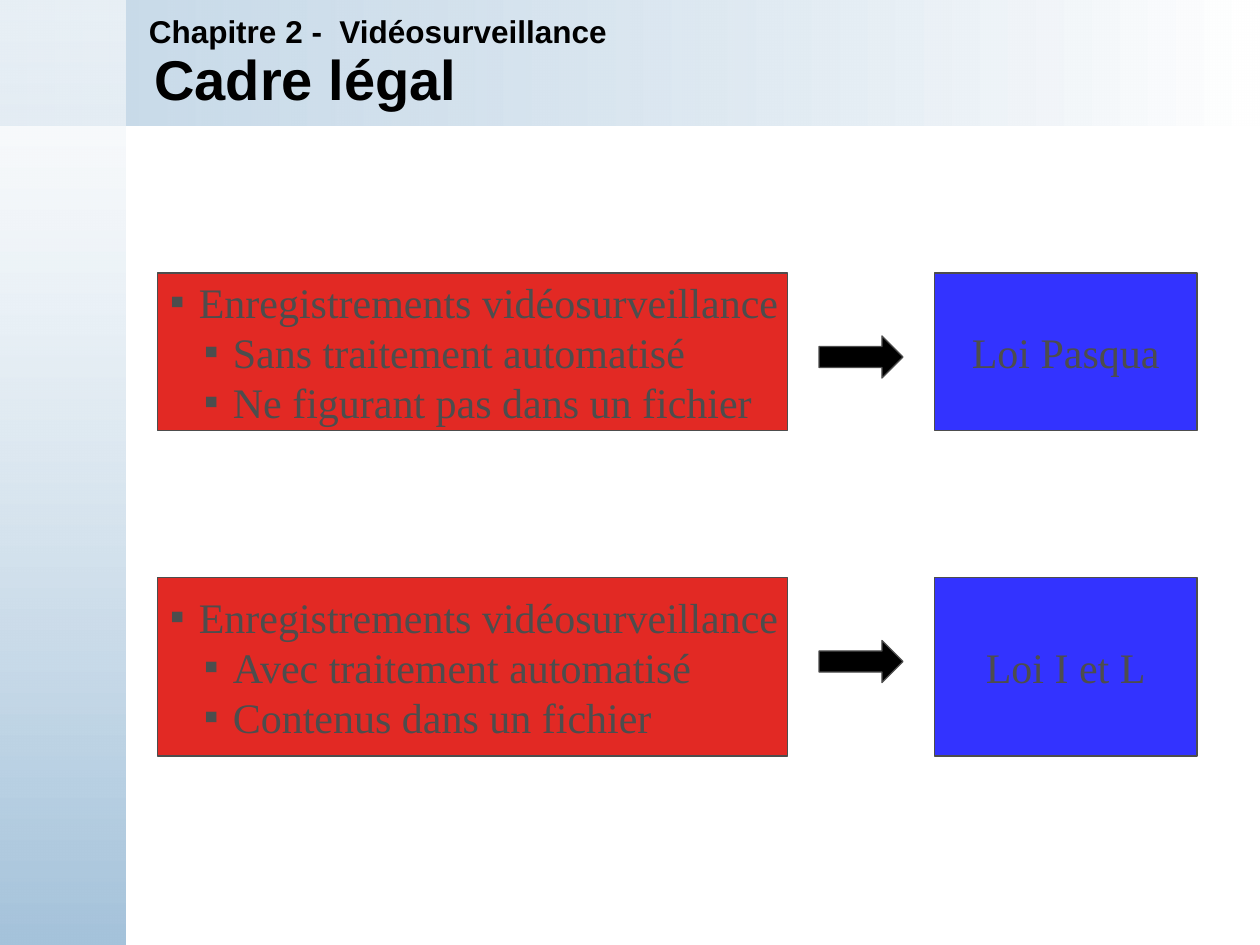
import lxml.etree
import pptx
import pptx.dml.color
import pptx.enum.shapes
import pptx.enum.text
import pptx.oxml.ns
import pptx.util

COLORS = {"band": "A5C3DB", "white": "FFFFFF", "black": "000000",
          "red": "E22924", "blue": "3333FF", "gray": "4D4D4D"}
RGB = {name: pptx.dml.color.RGBColor.from_string(value) for name, value in COLORS.items()}
SHAPE = pptx.enum.shapes.MSO_SHAPE
ALIGN = pptx.enum.text.PP_ALIGN
qn = pptx.oxml.ns.qn

presentation = pptx.Presentation()
presentation.slide_width = pptx.util.Inches(10)
presentation.slide_height = pptx.util.Inches(7.5)
cell = presentation.slide_width // 120
slide = presentation.slides.add_slide(presentation.slide_layouts[5])


def add_box(kind, column, row, columns, rows, fill=None):
    shape = slide.shapes.add_shape(
        kind, *(int(value * cell) for value in (column, row, columns, rows)))
    shape.shadow.inherit = False
    if fill:
        shape.fill.solid()
        shape.fill.fore_color.rgb = RGB[fill]
        shape.line.color.rgb = RGB["gray"]
        shape.line.width = pptx.util.Pt(0.75)
    return shape


def format_text(shape, size, font, color, bold, align, wrap):
    frame = shape.text_frame
    frame.auto_size = pptx.enum.text.MSO_AUTO_SIZE.NONE
    frame.word_wrap = wrap
    frame.vertical_anchor = pptx.enum.text.MSO_ANCHOR.MIDDLE
    for paragraph in frame.paragraphs:
        paragraph.alignment = align
        for run in paragraph.runs:
            run.font.size = pptx.util.Pt(size)
            run.font.name = font
            run.font.bold = bold
            run.font.color.rgb = RGB[color]


bands = [
    (120, 12, 0, "band", "white", 62),
    (12, 90, 270, "white", "band", 59),
]
for columns, rows, angle, start, end, opacity in bands:
    band = add_box(SHAPE.RECTANGLE, 0, 0, columns, rows)
    band.line.fill.background()
    band.fill.gradient()
    band.fill.gradient_angle = angle
    for stop, color in zip(band.fill.gradient_stops, (start, end)):
        stop.color.rgb = RGB[color]
    first_color = next(band._element.iter(qn("a:srgbClr")))
    lxml.etree.SubElement(first_color, qn("a:alpha"), val=str(opacity * 1000))

title = slide.shapes.title
slide.shapes._spTree.append(title._element)
chapter = slide.shapes.add_textbox(0, 0, cell, cell)
headings = [
    (title, "Cadre légal", 32, (13.5, 4, 106.5, 6.8)),
    (chapter, "Chapitre 2 -  Vidéosurveillance", 18, (13, 0, 96, 5.9)),
]
for heading, text, size, place in headings:
    heading.left, heading.top, heading.width, heading.height = (
        int(value * cell) for value in place)
    heading.text_frame.text = text
    format_text(heading, size, "Arial", "black", True, ALIGN.LEFT, True)

cases = [
    (26, 15, "Loi Pasqua", ["Sans traitement automatisé", "Ne figurant pas dans un fichier"]),
    (55, 17, "Loi I et L", ["Avec traitement automatisé", "Contenus dans un fichier"]),
]
for row, rows, law_name, conditions in cases:
    law = add_box(SHAPE.RECTANGLE, 89, row, 25, rows, "blue")
    law.text_frame.text = law_name
    format_text(law, 24, "Times New Roman", "gray", False, ALIGN.CENTER, False)

    recordings = add_box(SHAPE.RECTANGLE, 15, row, 60, rows, "red")
    recordings.text_frame.text = "\n".join(["Enregistrements vidéosurveillance"] + conditions)
    for index, paragraph in enumerate(recordings.text_frame.paragraphs):
        paragraph.level = min(index, 1)
        paragraph.line_spacing = pptx.util.Pt(28.6)
        properties = paragraph._p.get_or_add_pPr()
        properties.set("marL", str(pptx.util.Inches(0.5 if index else 0.23)))
        properties.set("indent", str(pptx.util.Inches(-0.23)))
        bullet_color = lxml.etree.SubElement(properties, qn("a:buClr"))
        lxml.etree.SubElement(bullet_color, qn("a:srgbClr"), val=COLORS["gray"])
        lxml.etree.SubElement(properties, qn("a:buFont"), typeface="Times New Roman")
        lxml.etree.SubElement(properties, qn("a:buChar"), char="▪")
    format_text(recordings, 24, "Times New Roman", "gray", False, ALIGN.LEFT, False)

    add_box(SHAPE.RIGHT_ARROW, 78, row + 6, 8, 4, "black")

presentation.save("out.pptx")
